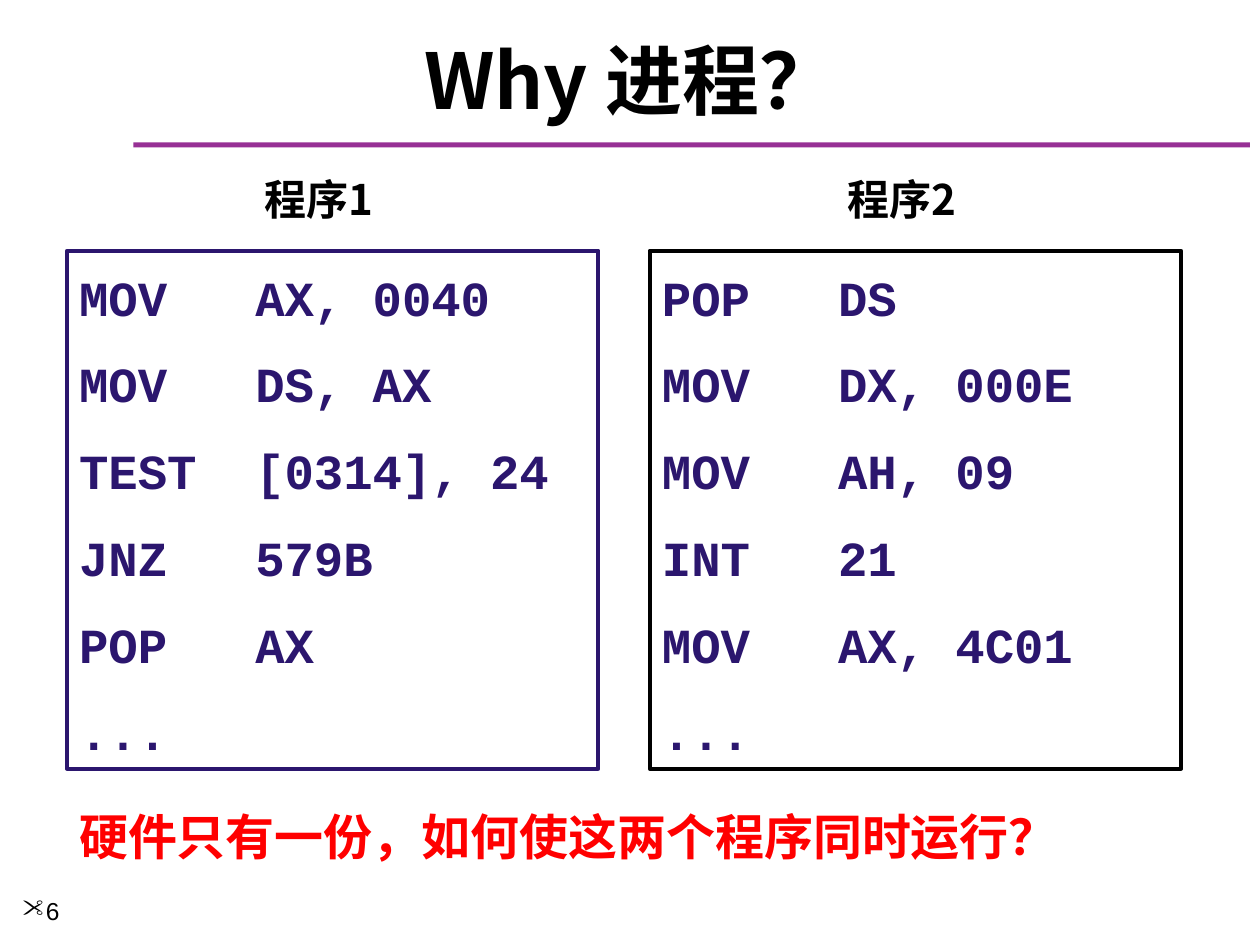
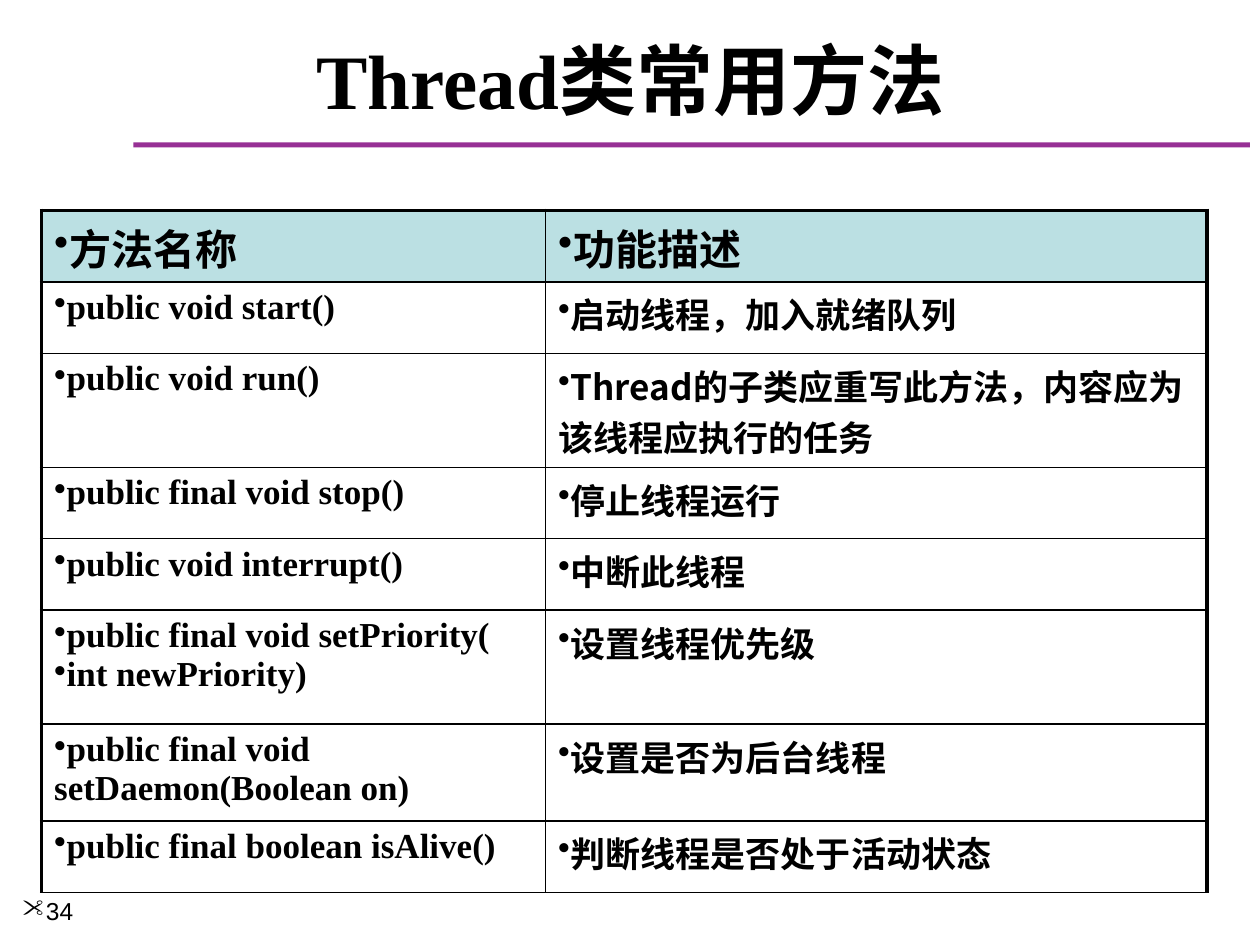
from pptx import Presentation
from pptx.dml.color import RGBColor
from pptx.enum.shapes import MSO_SHAPE
from pptx.enum.text import MSO_ANCHOR, PP_ALIGN
from pptx.oxml.ns import qn
from pptx.util import Inches, Pt
from lxml import etree

RECTANGLE = MSO_SHAPE.RECTANGLE
TOP, MIDDLE = MSO_ANCHOR.TOP, MSO_ANCHOR.MIDDLE
LEFT, CENTER = PP_ALIGN.LEFT, PP_ALIGN.CENTER

COLORS = {"text": "000000", "code": "2B166E", "rule": "973095",
          "alert": "FF0000", "header": "BBE0E3"}
HAN, SERIF, SANS, MONO = "Noto Sans CJK SC", "Times New Roman", "Arial", "Courier New"

# The grid: 100 columns by 75 rows on a 10 x 7.5 inch slide
COLUMNS, ROWS = 100, 75
CELL = Inches(10) // COLUMNS
THICK, THIN = 2.25, 1


def grid(count):
    return round(count * CELL)


def add_bullet(para, char, font=None):
    properties = para._p.get_or_add_pPr()
    properties.set("marL", "0")
    properties.set("indent", "0")
    if font:
        etree.SubElement(properties, qn("a:buFont"), typeface=font, charset="2")
    etree.SubElement(properties, qn("a:buChar"), char=char)


class SlideBuilder:
    """Holds the deck, its style and the current slide."""

    def __init__(self):
        self.deck = Presentation()
        self.deck.slide_width = grid(COLUMNS)
        self.deck.slide_height = grid(ROWS)
        self.slide = None

    def start_slide(self, title_spans, number):
        self.slide = self.deck.slides.add_slide(self.deck.slide_layouts[6])
        self.rectangle(10.6, 11.3, 88.6, 0.4, fill="rule")
        self.title(title_spans)
        self.page_number(number)

    def style(self, span, size, font, color="text", bold=True):
        span.font.size = Pt(size)
        span.font.name = font
        span.font.bold = bold
        span.font.color.rgb = RGBColor.from_string(COLORS[color])
        properties = span._r.get_or_add_rPr()
        east_asian = etree.Element(qn("a:ea"), typeface=HAN)
        properties.find(qn("a:latin")).addnext(east_asian)

    def fill_text(self, frame, lines, size, font, color="text", bold=True,
                  gap=0, bullet=None):
        frame.text = "\n".join(lines)
        for index, para in enumerate(frame.paragraphs):
            para.alignment = LEFT
            if index and gap:
                para.space_before = Pt(gap)
            if bullet:
                add_bullet(para, **bullet)
            for span in para.runs:
                self.style(span, size, font, color, bold)

    def rectangle(self, left, top, width, height, fill=None, line=None):
        shape = self.slide.shapes.add_shape(
            RECTANGLE, grid(left), grid(top), grid(width), grid(height))
        shape.shadow.inherit = False
        if fill:
            shape.fill.solid()
            shape.fill.fore_color.rgb = RGBColor.from_string(COLORS[fill])
        else:
            shape.fill.background()
        if line:
            shape.line.color.rgb = RGBColor.from_string(COLORS[line])
            shape.line.width = Pt(THICK)
        else:
            shape.line.fill.background()
        return shape

    def text(self, left, top, width, height, lines, size, font, **options):
        box = self.slide.shapes.add_textbox(
            grid(left), grid(top), grid(width), grid(height))
        box.text_frame.word_wrap = True
        self.fill_text(box.text_frame, lines, size, font, **options)
        return box

    def title(self, spans):
        box = self.text(1.7, 2.5, 96.7, 7.5, [], 44, HAN)
        box.text_frame.vertical_anchor = MIDDLE
        para = box.text_frame.paragraphs[0]
        para.alignment = CENTER
        for words, font in spans:
            span = para.add_run()
            span.text = words
            self.style(span, 44, font)

    def page_number(self, number):
        self.text(0.8, 70.6, 11.6, 4.4, [str(number)], 14, SANS, bold=False,
                  bullet={"char": '"', "font": "Wingdings"})

    def code_box(self, left, top, width, height, lines, line):
        box = self.rectangle(left, top, width, height, line=line)
        frame = box.text_frame
        frame.word_wrap = True
        frame.vertical_anchor = TOP
        frame.margin_top = grid(1.3)
        self.fill_text(frame, lines, 28, MONO, color="code", gap=16)

    def cell_borders(self, cell, widths):
        properties = cell._tc.get_or_add_tcPr()
        for side, width in widths.items():
            border = etree.SubElement(properties, qn(f"a:ln{side}"), w=str(Pt(width)))
            fill = etree.SubElement(border, qn("a:solidFill"))
            etree.SubElement(fill, qn("a:srgbClr"), val=COLORS["text"])

    def table(self, left, top, widths, heights, rows):
        frame = self.slide.shapes.add_table(
            len(rows), len(widths), grid(left), grid(top),
            grid(sum(widths)), grid(sum(heights)))
        table = frame.table
        table.first_row = table.horz_banding = False
        for column, width in zip(table.columns, widths):
            column.width = grid(width)
        for row, height in zip(table.rows, heights):
            row.height = grid(height)
        last = len(widths) - 1
        for row_index, row in enumerate(rows):
            header = row_index == 0
            for column_index, words in enumerate(row):
                cell = table.cell(row_index, column_index)
                self.cell_borders(cell, {
                    "L": THIN if column_index else THICK,
                    "R": THICK if column_index == last else THIN,
                    "T": THICK if header else THIN,
                    "B": THIN})
                if header:
                    cell.fill.solid()
                    cell.fill.fore_color.rgb = RGBColor.from_string(COLORS["header"])
                else:
                    cell.fill.background()
                font = HAN if header or column_index else SERIF
                self.fill_text(cell.text_frame, words.split("\n"),
                               24 if header else 20, font, bullet={"char": "•"})


PROGRAMS = [
    ("程序1", "code", ["MOV   AX, 0040", "MOV   DS, AX", "TEST  [0314], 24",
                     "JNZ   579B", "POP   AX", "..."]),
    ("程序2", "text", ["POP   DS", "MOV   DX, 000E", "MOV   AH, 09",
                     "INT   21", "MOV   AX, 4C01", "..."]),
]

METHODS = [
    ("方法名称", "功能描述"),
    ("public void start()", "启动线程，加入就绪队列"),
    ("public void run()", "Thread的子类应重写此方法，内容应为该线程应执行的任务"),
    ("public final void stop()", "停止线程运行"),
    ("public void interrupt()", "中断此线程"),
    ("public final void setPriority(\nint newPriority)", "设置线程优先级"),
    ("public final void setDaemon(Boolean on)", "设置是否为后台线程"),
    ("public final boolean isAlive()", "判断线程是否处于活动状态"),
]


def main():
    builder = SlideBuilder()

    # Two programs side by side
    builder.start_slide([("Why 进程？", HAN)], 6)
    for index, (name, line, code) in enumerate(PROGRAMS):
        left = 5.3 + index * 46.25
        builder.text(left + 14.7, 13.3, 11.8, 5, [name], 24, HAN)
        builder.code_box(left, 19.9, 42.2, 41.1, code, line)
    builder.text(5.3, 63.5, 89.9, 5.7, ["硬件只有一份，如何使这两个程序同时运行？"],
                 28, SANS, color="alert")

    # Table of methods
    builder.start_slide([("Thread", SERIF), ("类常用方法", HAN)], 34)
    single, double = 5.67, 9.05
    builder.table(3.3, 16.7, [40, 52.5],
                  [single, single, double, single, single, double, 7.2, single],
                  METHODS)

    builder.deck.save("out.pptx")


if __name__ == "__main__":
    main()
